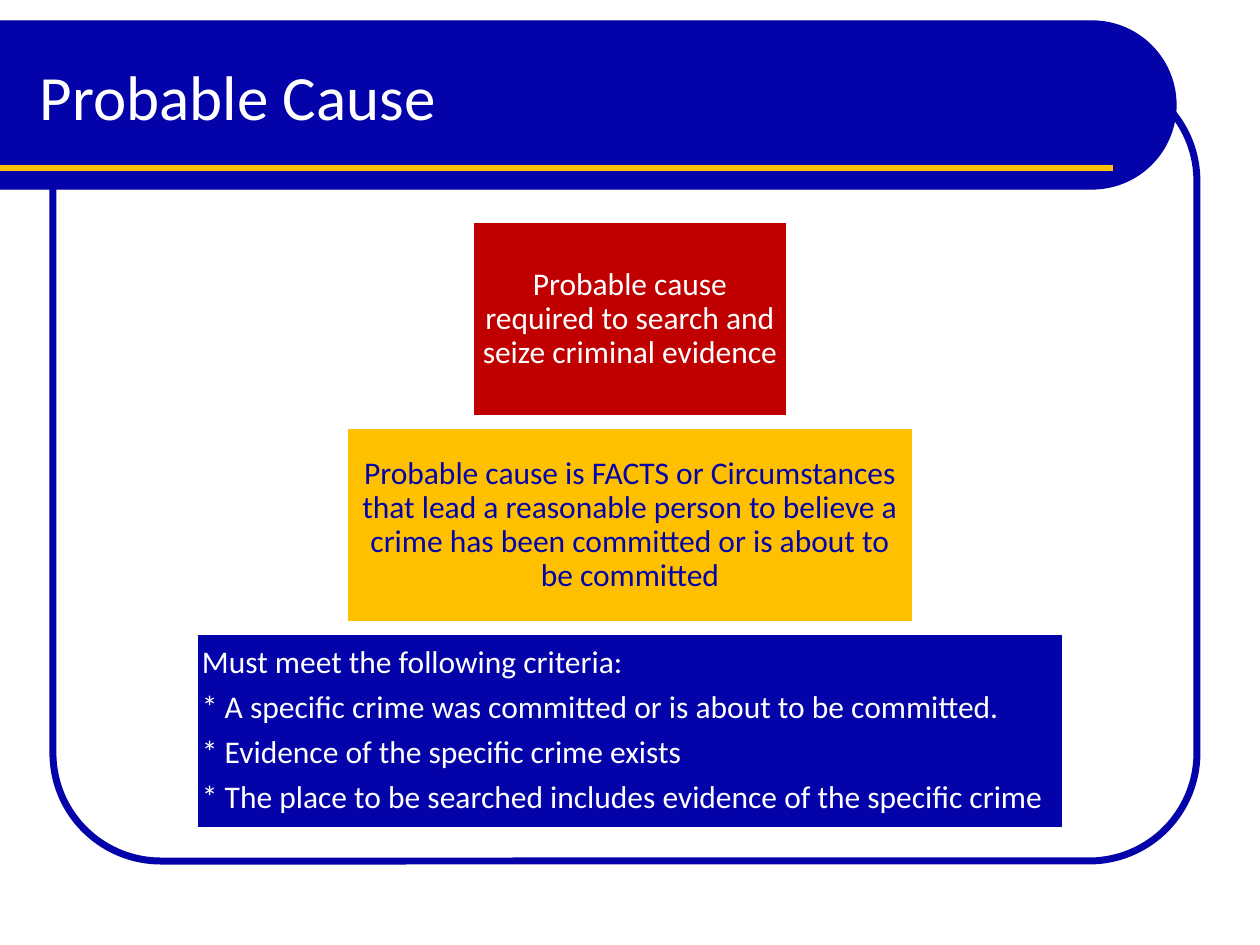
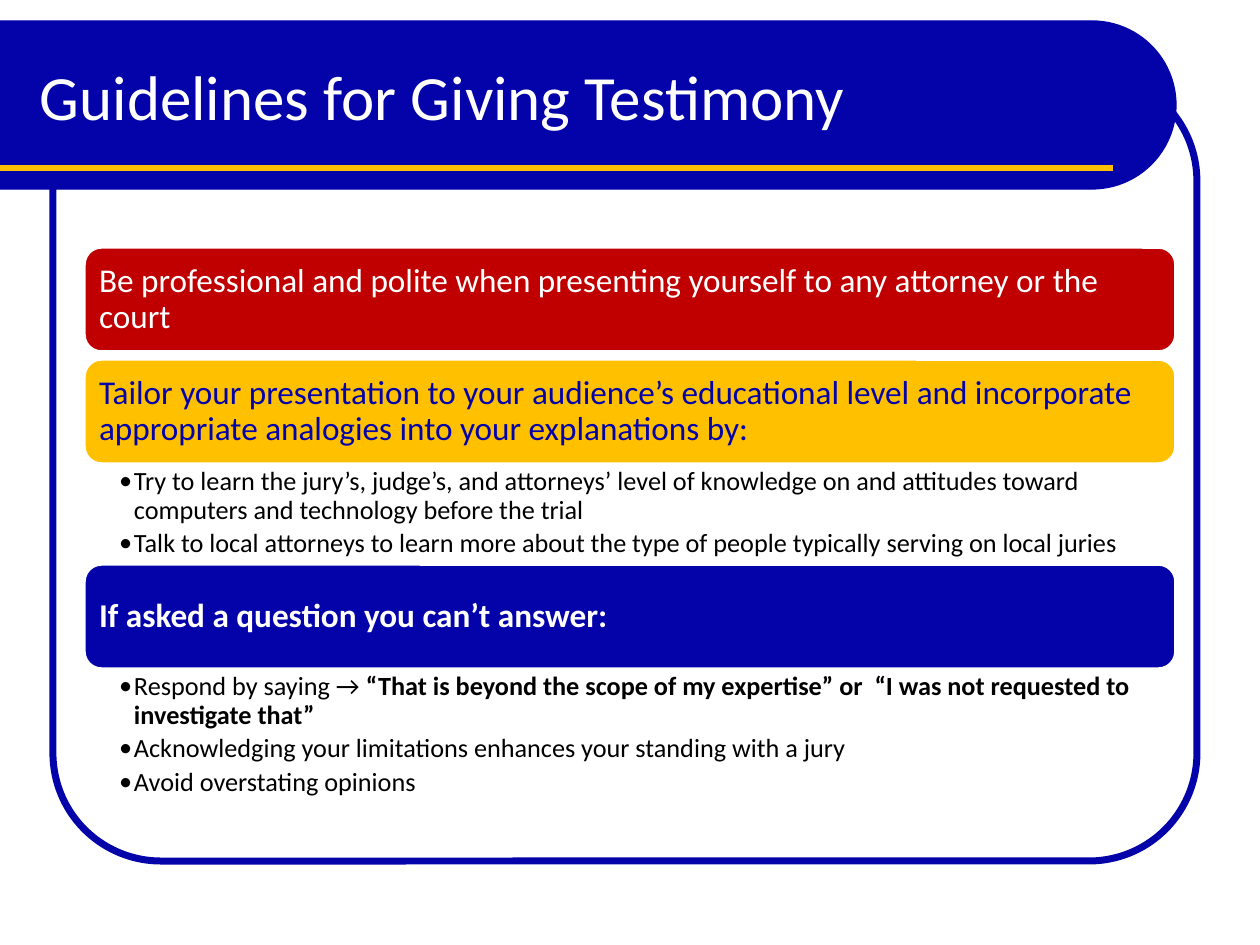
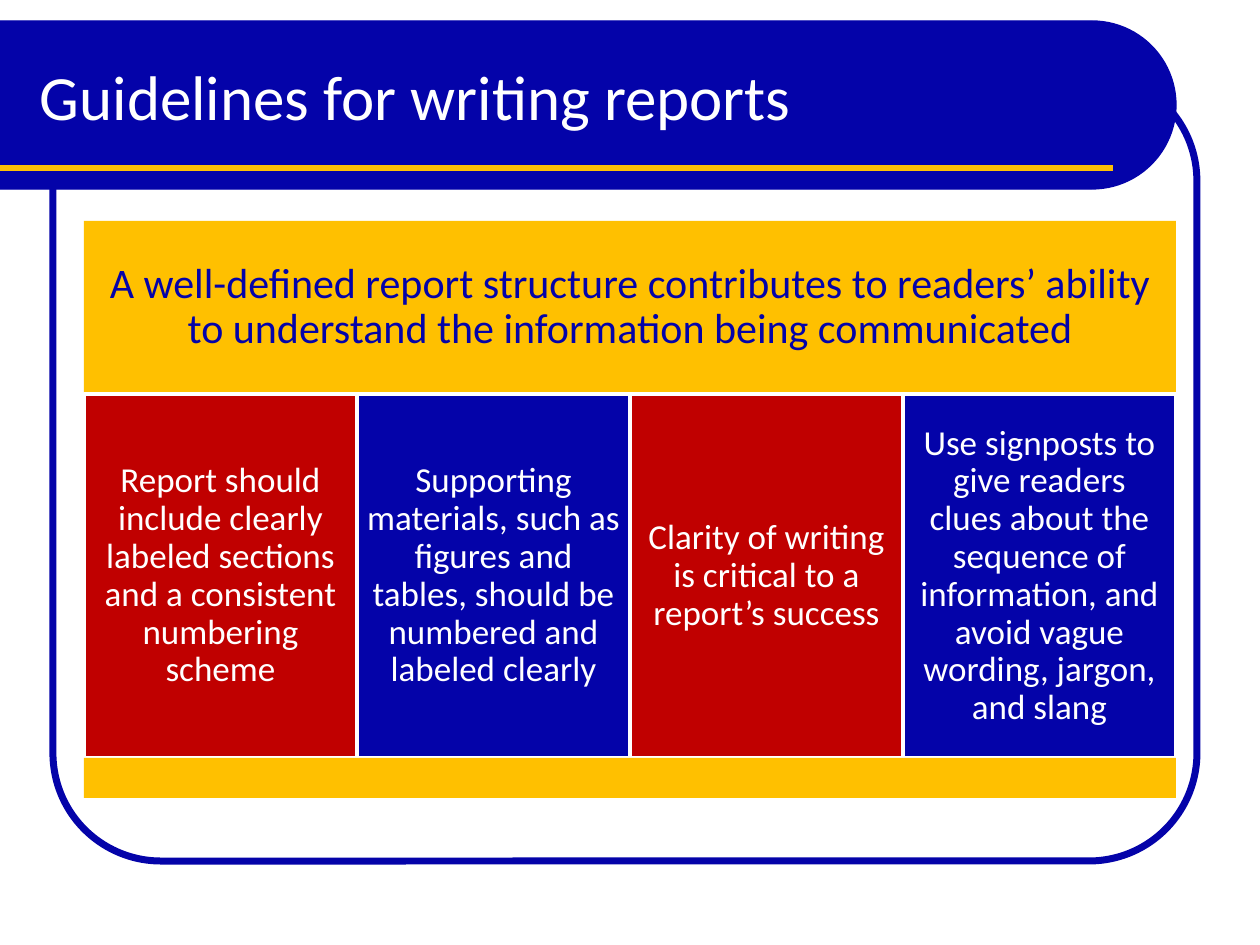
from dataclasses import dataclass
from math import cos, pi, sin

from lxml.etree import SubElement
from pptx import Presentation
from pptx.dml.color import RGBColor
from pptx.enum.shapes import MSO_CONNECTOR, MSO_SHAPE
from pptx.enum.text import MSO_ANCHOR, PP_ALIGN
from pptx.oxml.ns import qn
from pptx.util import Emu, Pt


@dataclass(frozen=True)
class Theme:
    font: str = "Calibri"
    blue: str = "0403A9"
    rule: str = "FDC005"
    amber: str = "FFC000"
    red: str = "C00000"
    white: str = "FFFFFF"
    black: str = "000000"
    title: int = 36
    banner: int = 24
    column: int = 20
    heading: int = 19
    tier: int = 18
    bullet: int = 15


THEME = Theme()
BLANK = 6
PX_PER_INCH = 126


def px(length):
    return Emu(round(length * 914400 / PX_PER_INCH))


def place(box):
    return [px(length) for length in box]


def rgb(code):
    return RGBColor.from_string(code)


# Text: each paragraph is a list of (words, bold) runs
def plain(*lines):
    return [[(line, False)] for line in lines]


def write(shape, paragraphs, size, color, insets=(13, 6, 13, 6), align=PP_ALIGN.LEFT,
          anchor=MSO_ANCHOR.MIDDLE, line_spacing=0.9, after=0.35, bulleted=False):
    frame = shape.text_frame
    frame.word_wrap = True
    frame.vertical_anchor = anchor
    (frame.margin_left, frame.margin_top,
     frame.margin_right, frame.margin_bottom) = place(insets)
    for index, runs in enumerate(paragraphs):
        paragraph = frame.paragraphs[0] if index == 0 else frame.add_paragraph()
        if bulleted:
            add_bullet(paragraph)
        paragraph.alignment = align
        paragraph.line_spacing = line_spacing
        paragraph.space_after = Pt(round(size * after, 1))
        for words, bold in runs:
            run = paragraph.add_run()
            run.text = words
            run.font.name = THEME.font
            run.font.size = Pt(size)
            run.font.bold = bold
            run.font.color.rgb = rgb(color)


def add_bullet(paragraph, indent=15):
    properties = paragraph._p.get_or_add_pPr()
    properties.set("marL", str(px(indent)))
    properties.set("indent", str(-px(indent)))
    SubElement(properties, qn("a:buFont")).set("typeface", THEME.font)
    SubElement(properties, qn("a:buChar")).set("char", "•")


def paint(shape, fill=None, line=None, width=2):
    shape.shadow.inherit = False
    if fill:
        shape.fill.solid()
        shape.fill.fore_color.rgb = rgb(fill)
    else:
        shape.fill.background()
    if line:
        shape.line.color.rgb = rgb(line)
        shape.line.width = Pt(width)
    else:
        shape.line.fill.background()


def add_block(slide, box, fill, kind=MSO_SHAPE.RECTANGLE, line=THEME.white):
    block = slide.shapes.add_shape(kind, *place(box))
    paint(block, fill, line)
    return block


# Shared parts: rounded frame, title band, rule and title
def add_frame(slide, box):
    frame = slide.shapes.add_shape(MSO_SHAPE.ROUNDED_RECTANGLE, *place(box))
    frame.adjustments[0] = 0.137
    paint(frame, line=THEME.blue, width=4)


def add_title_band(slide, box, title):
    left, top, width, height = box
    radius = height / 2
    center_x, center_y = left + width - radius, top + radius
    steps = 48
    angles = [pi * step / steps - pi / 2 for step in range(steps + 1)]
    cap = [(px(center_x + radius * cos(a)), px(center_y + radius * sin(a))) for a in angles]
    outline = slide.shapes.build_freeform(px(left), px(top))
    outline.add_line_segments(cap + [(px(left), px(top + height))], close=True)
    paint(outline.convert_to_shape(), THEME.blue, THEME.blue, 0.75)

    rule_y = px(top + 147)
    rule = slide.shapes.add_connector(
        MSO_CONNECTOR.STRAIGHT, px(left), rule_y, px(left + width - 63), rule_y)
    rule.line.color.rgb = rgb(THEME.rule)
    rule.line.width = Pt(3)
    SubElement(rule._element.spPr, qn("a:effectLst"))

    heading = slide.shapes.add_textbox(*place((left + 27, top + 11, width - 71, 126)))
    write(heading, plain(title), THEME.title, THEME.white, line_spacing=1.0, after=0)


def start_slide(deck, title):
    slide = deck.slides.add_slide(deck.slide_layouts[BLANK])
    add_frame(slide, (53, 73, 1144, 788))
    add_title_band(slide, (0, 21, 1176, 168), title)
    return slide


# Pyramid of centred tiers
def add_pyramid(slide, box, tiers):
    left, top, width, height = box
    gap = 10
    tier_height = (height - gap * (len(tiers) - 1)) / len(tiers)
    for index, (tier_width, fill, color, align, lines) in enumerate(tiers):
        tier_left = left + (width - tier_width) / 2
        tier_top = top + index * (tier_height + gap)
        tier = add_block(slide, (tier_left, tier_top, tier_width, tier_height), fill)
        write(tier, plain(*lines), THEME.tier, color, (6, 6, 6, 6), align)


# Stack of headings, each with optional bullets below
def add_guideline_stack(slide, box, sections):
    left, top, width = box
    heading_height, gap = 105, 7
    for fill, color, heading, bullets, bullets_height in sections:
        bar = add_block(slide, (left, top, width, heading_height), fill,
                        MSO_SHAPE.ROUNDED_RECTANGLE)
        write(bar, heading, THEME.heading, color, (10, 10, 10, 10))
        top += heading_height
        if bullets:
            details = slide.shapes.add_textbox(*place((left, top, width, bullets_height)))
            write(details, bullets, THEME.bullet, THEME.black, (35, 4, 19, 4),
                  anchor=MSO_ANCHOR.TOP, after=0.2, bulleted=True)
        top += bullets_height if bullets else gap


# Banner over equal columns, closed by a foot strip
def add_banner_columns(slide, box, banner_text, columns):
    left, top, width, height = box
    banner_height, foot_height = 173, 40
    columns_height = height - banner_height - foot_height
    banner = add_block(slide, (left, top, width, banner_height), THEME.amber, line=None)
    write(banner, plain(banner_text), THEME.banner, THEME.blue, (13, 13, 13, 13),
          PP_ALIGN.CENTER)
    column_width = width / len(columns)
    for index, advice in enumerate(columns):
        fill = (THEME.red, THEME.blue)[index % 2]
        column = add_block(slide, (left + index * column_width, top + banner_height,
                                   column_width, columns_height), fill)
        write(column, plain(advice), THEME.column, THEME.white, (10, 10, 10, 10),
              PP_ALIGN.CENTER)
    add_block(slide, (left, top + height - foot_height, width, foot_height),
              THEME.amber, line=None)


def main():
    deck = Presentation()
    deck.slide_width, deck.slide_height = px(1260), px(945)

    probable_cause = start_slide(deck, "Probable Cause")
    add_pyramid(probable_cause, (196, 221, 868, 608), [
        (315, THEME.red, THEME.white, PP_ALIGN.CENTER,
         ["Probable cause required to search and seize criminal evidence"]),
        (567, THEME.amber, THEME.blue, PP_ALIGN.CENTER,
         ["Probable cause is FACTS or Circumstances that lead a reasonable person to "
          "believe a crime has been committed or is about to be committed"]),
        (868, THEME.blue, THEME.white, PP_ALIGN.LEFT,
         ["Must meet the following criteria:",
          "* A specific crime was committed or is about to be committed.",
          "* Evidence of the specific crime exists",
          "* The place to be searched includes evidence of the specific crime"]),
    ])

    testimony = start_slide(deck, "Guidelines for Giving Testimony")
    add_guideline_stack(testimony, (84, 247, 1092), [
        (THEME.red, THEME.white,
         plain("Be professional and polite when presenting yourself to any attorney "
               "or the court"), [], 0),
        (THEME.amber, THEME.blue,
         plain("Tailor your presentation to your audience’s educational level and "
               "incorporate appropriate analogies into your explanations by:"),
         plain("Try to learn the jury’s, judge’s, and attorneys’ level of knowledge on "
               "and attitudes toward computers and technology before the trial",
               "Talk to local attorneys to learn more about the type of people "
               "typically serving on local juries"), 100),
        (THEME.blue, THEME.white, [[("If asked a question you can’t answer:", True)]],
         [[("Respond by saying → ", False),
           ("“That is beyond the scope of my expertise” or  “I was not requested to "
            "investigate that”", True)]]
         + plain("Acknowledging your limitations enhances your standing with a jury",
                 "Avoid overstating opinions"), 136),
    ])

    reports = start_slide(deck, "Guidelines for writing reports")
    add_banner_columns(
        reports, (84, 221, 1092, 577),
        "A well-defined report structure contributes to readers’ ability to understand "
        "the information being communicated",
        ["Report should include clearly labeled sections and a consistent numbering scheme",
         "Supporting materials, such as figures and tables, should be numbered and "
         "labeled clearly",
         "Clarity of writing is critical to a report’s success",
         "Use signposts to give readers clues about the sequence of information, and "
         "avoid vague wording, jargon, and slang"])

    deck.save("out.pptx")


if __name__ == "__main__":
    main()
